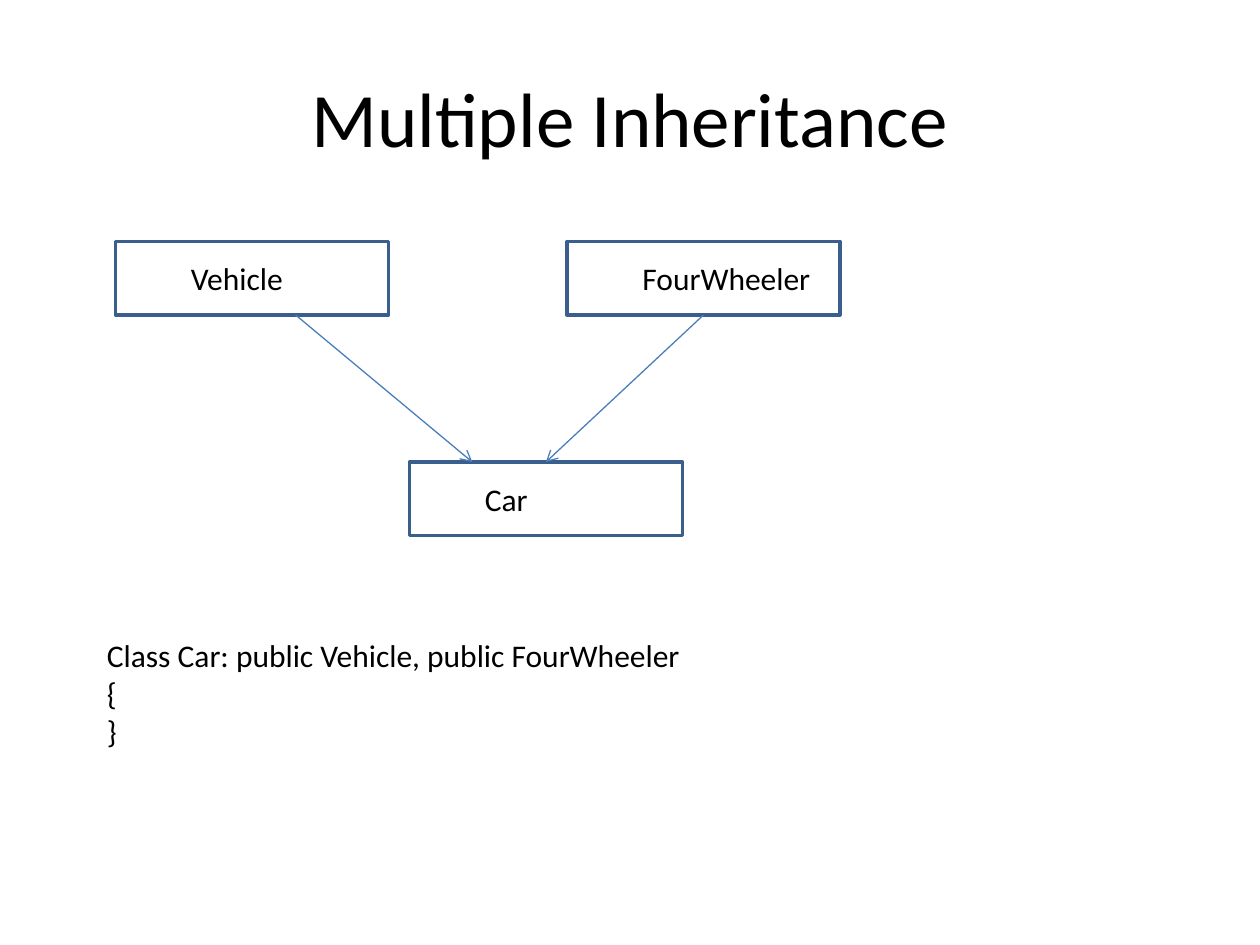
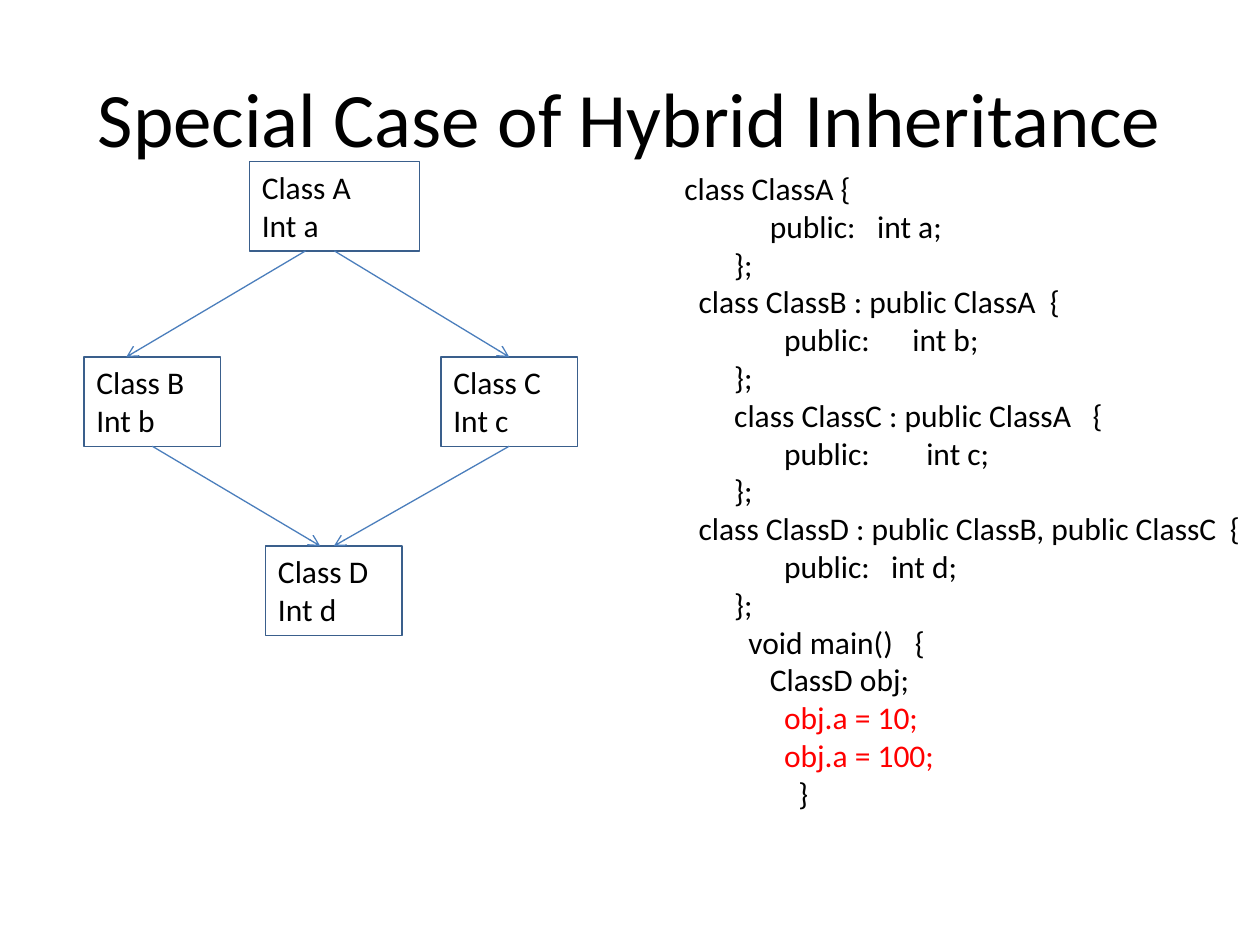
from lxml import etree
from pptx import Presentation
from pptx.dml.color import RGBColor
from pptx.enum.shapes import MSO_CONNECTOR, MSO_SHAPE
from pptx.enum.text import MSO_ANCHOR, PP_ALIGN
from pptx.oxml.ns import qn
from pptx.util import Inches, Pt

RECTANGLE = MSO_SHAPE.RECTANGLE
STRAIGHT = MSO_CONNECTOR.STRAIGHT
TOP, MIDDLE = MSO_ANCHOR.TOP, MSO_ANCHOR.MIDDLE
LEFT, CENTER = PP_ALIGN.LEFT, PP_ALIGN.CENTER

BLACK = RGBColor(0x00, 0x00, 0x00)
RED = RGBColor(0xFF, 0x00, 0x00)
BOX_BLUE = RGBColor(0x3A, 0x5F, 0x8C)
ARROW_BLUE = RGBColor(0x4B, 0x7E, 0xBC)
FONT = "Calibri"
TITLE_SIZE, BODY_SIZE = 44, 18
UNIT = Inches(1) // 12          # grid step for boxes
SPACE = 0.0565                  # width of one space at body size, in inches
TITLE_AREA = (6, 3.6, 108, 15)

# Boxes: name -> (left, top, width, height) in grid units
# Arrows: (from box, share of its bottom edge, to box, share of its top edge)
MULTIPLE = {
    "title": "Multiple Inheritance",
    "boxes": {
        "Vehicle": (11, 23, 26, 7),
        "FourWheeler": (54, 23, 26, 7),
        "Car": (39, 44, 26, 7),
    },
    "arrows": [("Vehicle", 0.66, "Car", 0.23), ("FourWheeler", 0.5, "Car", 0.5)],
    "code_area": (9, 60, 60, 12),
    # Code lines: (indent in spaces, text, tab position in inches, text after tab, colour)
    "code": [
        (0, "Class Car: public Vehicle, public FourWheeler", 0, "", BLACK),
        (0, "{", 0, "", BLACK),
        (0, "}", 0, "", BLACK),
    ],
}
HYBRID = {
    "title": "Special Case of Hybrid Inheritance",
    "boxes": {
        "A": (23.75, 15.4, 16.2, 8.5),
        "B": (8, 34, 13, 8.5),
        "C": (42, 34, 13, 8.5),
        "D": (25.3, 52, 13, 8.5),
    },
    "arrows": [
        ("A", 0.33, "B", 0.31),
        ("A", 0.5, "C", 0.5),
        ("B", 0.5, "D", 0.4),
        ("C", 0.5, "D", 0.5),
    ],
    "code_area": (64, 15.5, 56.7, 66.6),
    "code": [
        (0, "class ClassA {", 0, "", BLACK),
        (12, "public:", 1.53, "int a;", BLACK),
        (7, "};", 0, "", BLACK),
        (2, "class ClassB : public ClassA", 2.9, "{", BLACK),
        (14, "public:", 1.81, "int b;", BLACK),
        (7, "};", 0, "", BLACK),
        (7, "class ClassC : public ClassA", 3.24, "{", BLACK),
        (14, "public:", 1.92, "int c;", BLACK),
        (7, "};", 0, "", BLACK),
        (2, "class ClassD : public ClassB, public ClassC", 4.33, "{", BLACK),
        (14, "public:", 1.64, "int d;", BLACK),
        (7, "};", 0, "", BLACK),
        (9, "void main()", 1.83, "{", BLACK),
        (12, "ClassD obj;", 0, "", BLACK),
        (14, "obj.a = 10;", 0, "", RED),
        (14, "obj.a = 100;", 0, "", RED),
        (16, "}", 0, "", BLACK),
    ],
}


def on_grid(area):
    return [round(length * UNIT) for length in area]


def add_run(paragraph, text, size=BODY_SIZE, color=BLACK):
    run = paragraph.add_run()
    run.text = text
    run.font.name = FONT
    run.font.size = Pt(size)
    run.font.color.rgb = color


def write_lines(shape, lines, size=BODY_SIZE, align=LEFT, anchor=TOP):
    """Put one paragraph per line into the shape and return the paragraphs."""
    frame = shape.text_frame
    frame.word_wrap = True
    frame.vertical_anchor = anchor
    paragraphs = []
    for number, (text, color) in enumerate(lines):
        paragraph = frame.add_paragraph() if number else frame.paragraphs[0]
        paragraph.alignment = align
        add_run(paragraph, text, size, color)
        paragraphs.append(paragraph)
    return paragraphs


def add_title(slide, title):
    shape = slide.shapes.add_textbox(*on_grid(TITLE_AREA))
    write_lines(shape, [(title, BLACK)], TITLE_SIZE, CENTER, MIDDLE)


def add_box(slide, area, line_width):
    shape = slide.shapes.add_shape(RECTANGLE, *on_grid(area))
    shape.shadow.inherit = False
    shape.fill.background()
    shape.line.color.rgb = BOX_BLUE
    shape.line.width = Pt(line_width)
    return shape


def add_arrows(slide, boxes, arrows):
    for source, source_share, target, target_share in arrows:
        left, top, width, height = boxes[source]
        target_left, target_top, target_width, _ = boxes[target]
        start = (left + source_share * width, top + height)
        end = (target_left + target_share * target_width, target_top)
        arrow = slide.shapes.add_connector(STRAIGHT, *on_grid(start + end))
        arrow.line.color.rgb = ARROW_BLUE
        arrow.line.width = Pt(0.75)
        etree.SubElement(arrow.line._get_or_add_ln(), qn("a:tailEnd"), type="arrow")
        etree.SubElement(arrow._element.spPr, qn("a:effectLst"))


def add_code(slide, area, code):
    """Indents and gaps inside a line are tab stops."""
    lines = []
    for indent, text, _, tail, color in code:
        lines.append(("\t" * bool(indent) + text + ("\t" + tail if tail else ""), color))
    shape = slide.shapes.add_textbox(*on_grid(area))
    paragraphs = write_lines(shape, lines)
    for paragraph, (indent, _, gap, _, _) in zip(paragraphs, code):
        stops = [stop for stop in (indent * SPACE, gap) if stop]
        if stops:
            tab_list = etree.SubElement(paragraph._p.get_or_add_pPr(), qn("a:tabLst"))
            for stop in stops:
                etree.SubElement(tab_list, qn("a:tab"), pos=str(Inches(stop)), algn="l")


def add_slide(presentation, content):
    slide = presentation.slides.add_slide(presentation.slide_layouts[6])
    add_title(slide, content["title"])
    return slide


def build_multiple(presentation):
    slide = add_slide(presentation, MULTIPLE)
    for name, area in MULTIPLE["boxes"].items():
        add_box(slide, area, 2)
        left, top, _, _ = area
        label = slide.shapes.add_textbox(*on_grid((left + 6, top + 1.1, 19.3, 4.8)))
        write_lines(label, [(name, BLACK)])
    add_arrows(slide, MULTIPLE["boxes"], MULTIPLE["arrows"])
    add_code(slide, MULTIPLE["code_area"], MULTIPLE["code"])


def build_hybrid(presentation):
    slide = add_slide(presentation, HYBRID)
    for name, area in HYBRID["boxes"].items():
        box = add_box(slide, area, 0.75)
        write_lines(box, [(f"Class {name}", BLACK), (f"Int {name.lower()}", BLACK)])
    add_arrows(slide, HYBRID["boxes"], HYBRID["arrows"])
    add_code(slide, HYBRID["code_area"], HYBRID["code"])


def main():
    presentation = Presentation()
    presentation.slide_width = Inches(10)
    presentation.slide_height = Inches(7.5)
    build_multiple(presentation)
    build_hybrid(presentation)
    presentation.save("out.pptx")


if __name__ == "__main__":
    main()
